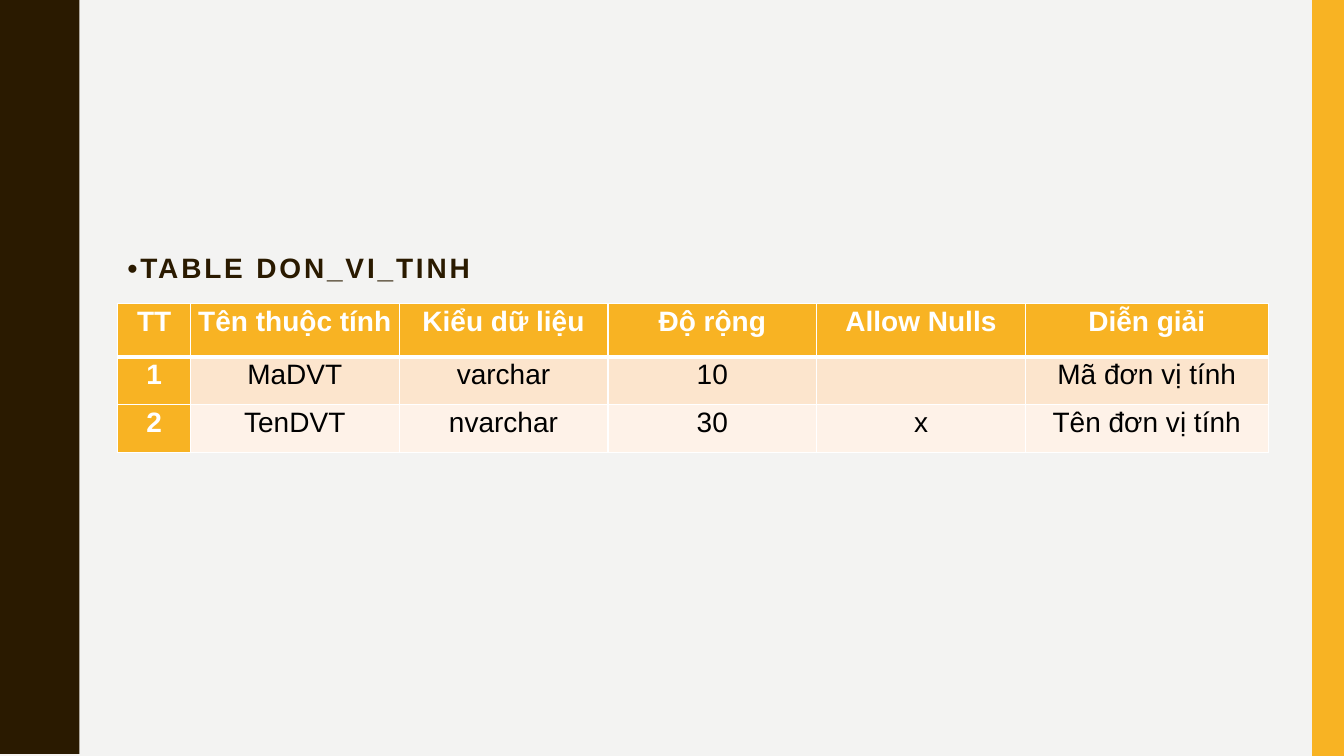
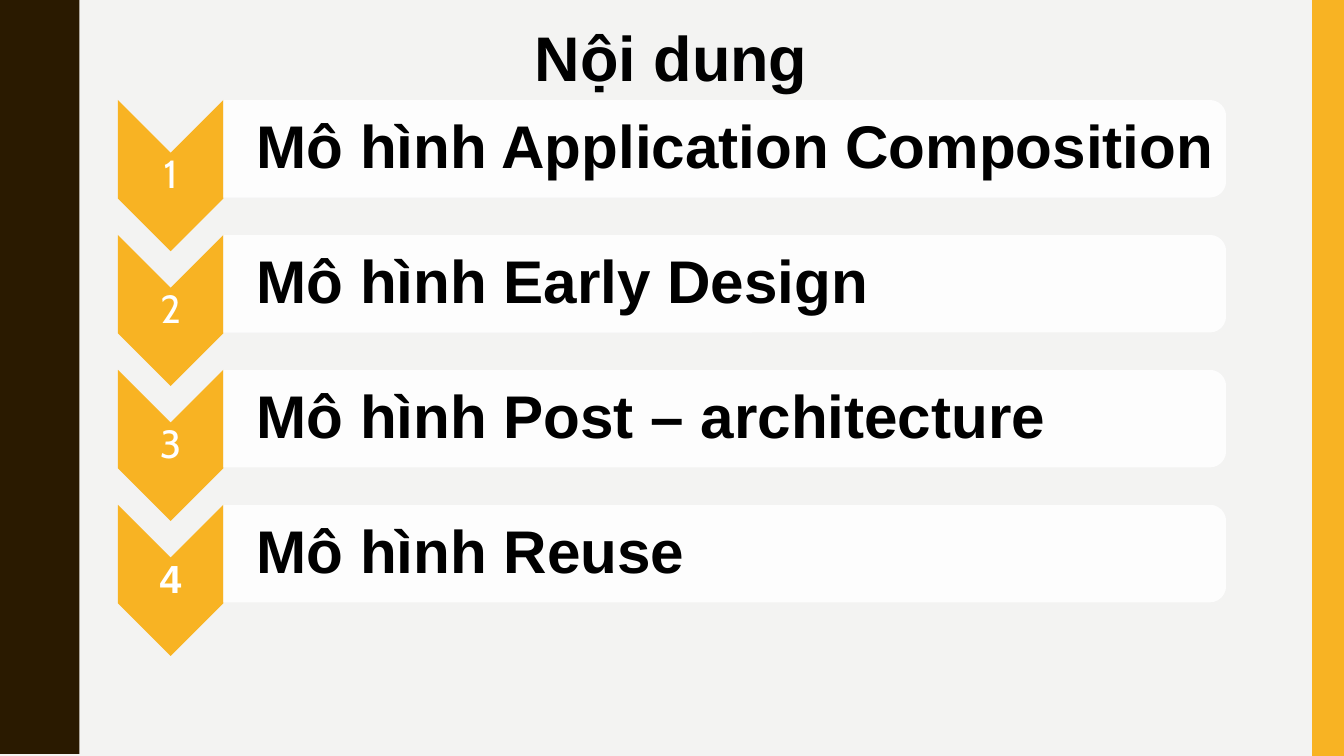
from dataclasses import dataclass

from lxml.etree import SubElement
from pptx import Presentation
from pptx.dml.color import RGBColor
from pptx.enum.shapes import MSO_SHAPE
from pptx.enum.text import MSO_ANCHOR, PP_ALIGN
from pptx.oxml.ns import qn
from pptx.util import Cm, Pt

COLORS = {
    "bg": "F3F3F2", "dark": "2A1A00", "amber": "F8B323", "white": "FFFFFF",
    "black": "000000", "peach": "FCE5CD", "cream": "FEF2E8",
}
SLIDE_W, SLIDE_H = 33.87, 19.05
LEFT = 2.97  # left edge of the content
BAND_W = 0.8

# Half a wave of the left edge as (x, y) in cm; the other half mirrors it
WAVE_H = 3.81
HALF_WAVE = [
    (1.98, 0), (1.99, 0.18), (2.01, 0.36), (2.03, 0.51), (2.07, 0.64),
    (2.11, 0.74), (2.16, 0.85), (2.21, 0.95), (2.26, 1.06), (2.31, 1.17),
    (2.36, 1.27), (2.41, 1.4), (2.45, 1.55), (2.46, 1.73), (2.46, 1.9),
]

# Table of attributes
COL_WIDTHS = [1.83, 5.26, 5.26, 5.26, 5.26, 6.12]
ROW_HEIGHTS = [1.35, 1.2, 1.2]
ROW_FILLS = ["amber", "peach", "cream"]
TABLE_ROWS = [
    ["TT", "Tên thuộc tính", "Kiểu dữ liệu", "Độ rộng", "Allow Nulls", "Diễn giải"],
    ["1", "MaDVT", "varchar", "10", "", "Mã đơn vị tính"],
    ["2", "TenDVT", "nvarchar", "30", "x", "Tên đơn vị tính"],
]

# Agenda list
AGENDA_TOP, AGENDA_STEP = 2.52, 3.4
CHEVRON_W, CHEVRON_H = 2.66, 3.81
BAR_W, BAR_H = 25.27, 2.46


@dataclass(frozen=True)
class AgendaItem:
    number: str
    label: str
    font: str = "Cabin"
    bold: bool = False


AGENDA = [
    AgendaItem("1", "Mô hình Application Composition"),
    AgendaItem("2", "Mô hình Early Design"),
    AgendaItem("3", "Mô hình Post – architecture"),
    AgendaItem("4", "Mô hình Reuse", font="Arial", bold=True),
]


def rgb(name: str) -> RGBColor:
    return RGBColor.from_string(COLORS[name])


def write(tf, text: str, *, size: float, color: str = "black", font: str = "Arial",
          bold: bool = True, align=PP_ALIGN.LEFT, line: float = 1.0,
          spacing: float = 0) -> None:
    p = tf.paragraphs[0]
    p.alignment, p.line_spacing = align, line
    r = p.add_run()
    r.text = text
    r.font.name, r.font.size, r.font.bold = font, Pt(size), bold
    r.font.color.rgb = rgb(color)
    if spacing:
        r.font._element.set("spc", str(int(spacing * 100)))


def add_text(slide, text: str, left: float, top: float, width: float, height: float, *,
             insets: tuple = (0.25, 0.13, 0.25, 0.13), anchor=MSO_ANCHOR.MIDDLE,
             **text_format) -> None:
    tf = slide.shapes.add_textbox(Cm(left), Cm(top), Cm(width), Cm(height)).text_frame
    tf.word_wrap, tf.vertical_anchor = True, anchor
    tf.margin_left, tf.margin_top, tf.margin_right, tf.margin_bottom = map(Cm, insets)
    write(tf, text, **text_format)


def paint(sp, color: str, alpha: int = 100) -> None:
    sp.shadow.inherit = False
    sp.fill.solid()
    sp.fill.fore_color.rgb = rgb(color)
    sp.line.fill.background()
    if alpha < 100:
        clr = sp._element.spPr.find(qn("a:solidFill")).find(qn("a:srgbClr"))
        SubElement(clr, qn("a:alpha"), val=str(alpha * 1000))


def add_turned(slide, kind, left: float, top: float, width: float, height: float,
               color: str, alpha: int = 100) -> None:
    """Add a shape turned by 90 degrees that fills the given upright box."""
    shift = (width - height) / 2
    sp = slide.shapes.add_shape(kind, Cm(left + shift), Cm(top - shift),
                                Cm(height), Cm(width))
    sp.rotation = 90
    paint(sp, color, alpha)


def add_slide(prs):
    """Add a blank slide with the background, wavy edge and side band."""
    slide = prs.slides.add_slide(prs.slide_layouts[6])
    slide.background.fill.solid()
    slide.background.fill.fore_color.rgb = rgb("bg")

    wave = HALF_WAVE + [(x, WAVE_H - y) for x, y in reversed(HALF_WAVE)]
    edge = [(x, i * WAVE_H + y) for i in range(5) for x, y in wave]
    fb = slide.shapes.build_freeform(0, 0, scale=Cm(1))
    fb.add_line_segments(edge + [(0, SLIDE_H)], close=True)
    paint(fb.convert_to_shape(), "dark")

    band = slide.shapes.add_shape(MSO_SHAPE.RECTANGLE, Cm(SLIDE_W - BAND_W), 0,
                                  Cm(BAND_W), Cm(SLIDE_H))
    paint(band, "amber")
    return slide


def set_borders(cell, **widths: float) -> None:
    """Draw white cell borders; the keys are L, R, T and B, in that order."""
    tc_pr = cell._tc.get_or_add_tcPr()
    for side, width in widths.items():
        ln = SubElement(tc_pr, qn(f"a:ln{side}"), w=str(Pt(width)))
        fill = SubElement(ln, qn("a:solidFill"))
        SubElement(fill, qn("a:srgbClr"), val=COLORS["white"])


def add_attribute_table(slide) -> None:
    table = slide.shapes.add_table(
        len(TABLE_ROWS), len(COL_WIDTHS), Cm(LEFT), Cm(7.65),
        Cm(sum(COL_WIDTHS)), Cm(sum(ROW_HEIGHTS))).table
    for col, width in zip(table.columns, COL_WIDTHS):
        col.width = Cm(width)
    for row, height in zip(table.rows, ROW_HEIGHTS):
        row.height = Cm(height)

    for i, texts in enumerate(TABLE_ROWS):
        for j, text in enumerate(texts):
            cell = table.cell(i, j)
            heading = i == 0 or j == 0
            cell.margin_left = cell.margin_right = Cm(0.18)
            cell.margin_top = cell.margin_bottom = 0
            set_borders(cell, L=1, R=1, T=3 if i == 1 else 1, B=3 if i == 0 else 1)
            cell.fill.solid()
            cell.fill.fore_color.rgb = rgb("amber" if heading else ROW_FILLS[i])
            if text:
                write(cell.text_frame, text, size=20, bold=heading, line=1.07,
                      color="white" if heading else "black", align=PP_ALIGN.CENTER)


def add_agenda_item(slide, item: AgendaItem, top: float) -> None:
    bar_left = LEFT + CHEVRON_W
    add_turned(slide, MSO_SHAPE.CHEVRON, LEFT, top, CHEVRON_W, CHEVRON_H, "amber")
    add_text(slide, item.number, LEFT, top + CHEVRON_W / 2, CHEVRON_W, 1.15,
             insets=(0.05,) * 4, size=28, color="white", font=item.font,
             bold=item.bold, align=PP_ALIGN.CENTER, line=0.9)
    add_turned(slide, MSO_SHAPE.ROUND_2_SAME_RECTANGLE, bar_left, top, BAR_W, BAR_H,
               "white", alpha=90)
    add_text(slide, item.label, bar_left, top + 0.12, BAR_W - 0.12, BAR_H - 0.24,
             insets=(0.84, 0.08, 0.08, 0.08), size=43, line=0.9)


def main() -> None:
    prs = Presentation()
    prs.slide_width, prs.slide_height = Cm(SLIDE_W), Cm(SLIDE_H)

    # Slide 1: table structure
    slide = add_slide(prs)
    add_text(slide, "•TABLE DON_VI_TINH", LEFT, 6.27, sum(COL_WIDTHS), 1.02,
             size=20, color="dark", line=0.9, spacing=2)
    add_attribute_table(slide)

    # Slide 2: contents
    slide = add_slide(prs)
    for i, item in enumerate(AGENDA):
        add_agenda_item(slide, item, AGENDA_TOP + i * AGENDA_STEP)
    add_text(slide, "Nội dung", 10.87, 0.33, 12.09, 2.18, anchor=MSO_ANCHOR.TOP,
             size=45, align=PP_ALIGN.CENTER)

    prs.save("out.pptx")


if __name__ == "__main__":
    main()
